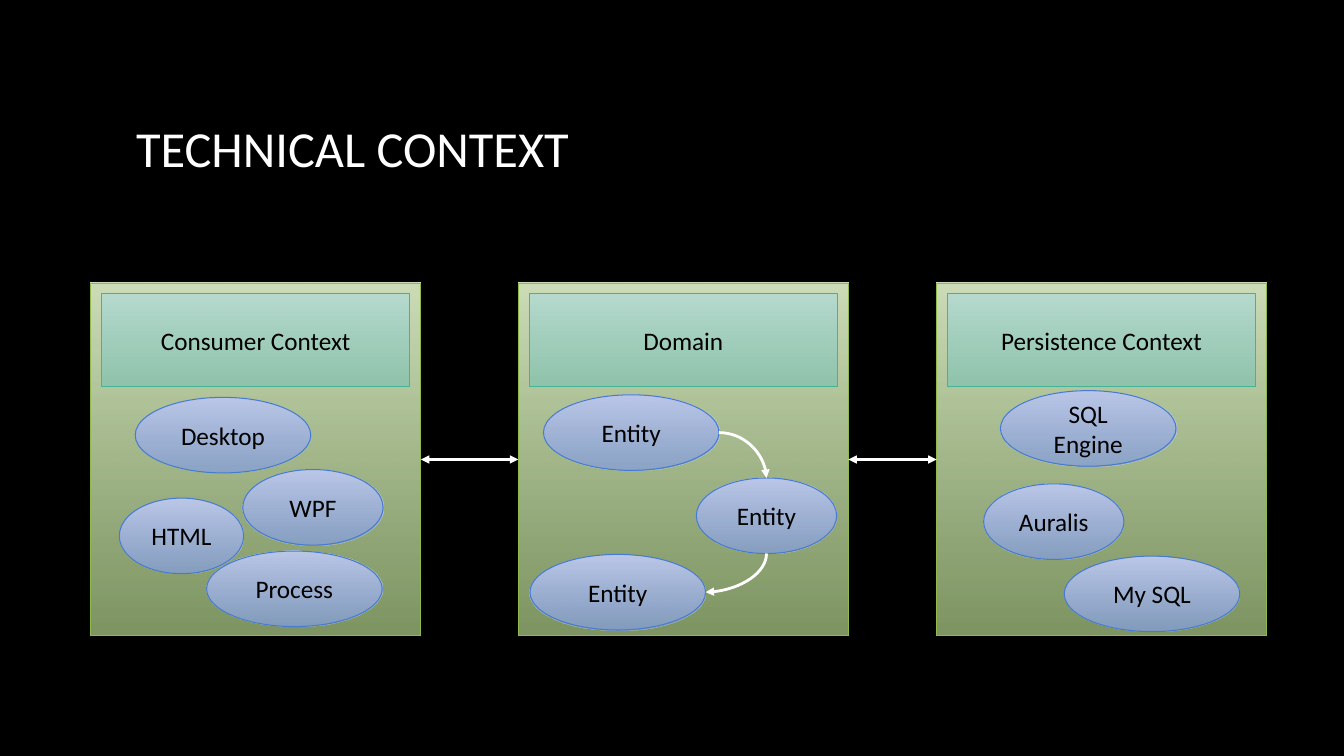
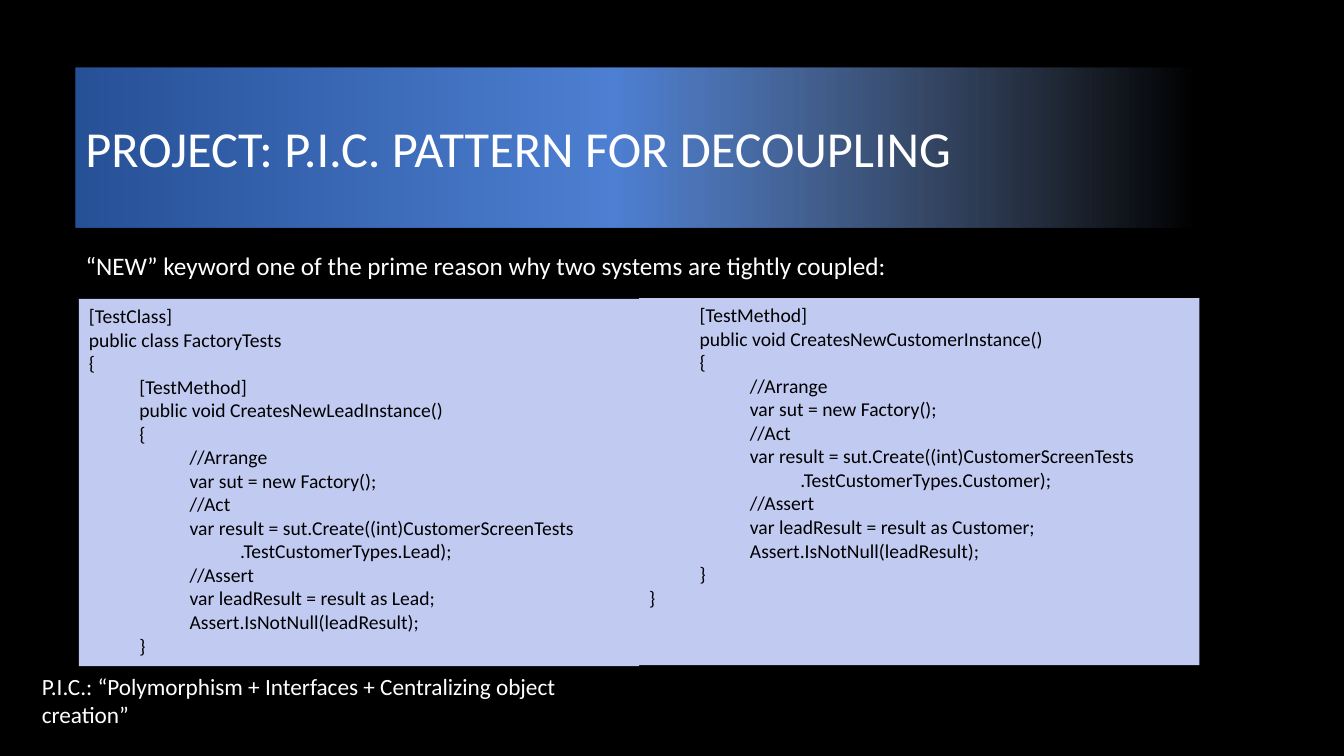
from lxml.etree import SubElement
from pptx import Presentation
from pptx.dml.color import RGBColor
from pptx.enum.shapes import MSO_CONNECTOR as Link, MSO_SHAPE as Shape
from pptx.enum.text import MSO_ANCHOR as Anchor, PP_ALIGN as Align
from pptx.oxml.ns import qn
from pptx.util import Emu, Pt

# The slide is a grid of 160 columns by 90 rows; all lengths are in cells.
COLUMNS, ROWS, CELL = 160, 90, 76200

FONT = "Calibri"
BLACK = RGBColor(0x00, 0x00, 0x00)
WHITE = RGBColor(0xFF, 0xFF, 0xFF)
CODE_FILL = RGBColor(0xC1, 0xCA, 0xF1)
PANEL_LINE = RGBColor(0x90, 0xBA, 0x4C)
HEADER_LINE = RGBColor(0x46, 0xB2, 0x98)
BUBBLE_LINE = RGBColor(0x47, 0x7B, 0xD1)

# Gradient stops: position %, colour, opacity %
PANEL_STOPS = [(0, RGBColor(0xCD, 0xDE, 0xB9), 100), (100, RGBColor(0xAB, 0xC9, 0x87), 74)]
HEADER_STOPS = [(0, RGBColor(0xB7, 0xDA, 0xCF), 100), (100, RGBColor(0x85, 0xC3, 0xB1), 74)]
BUBBLE_STOPS = [(0, RGBColor(0xBC, 0xC8, 0xE9), 100), (100, RGBColor(0x85, 0x9E, 0xDA), 74)]
BAND_STOPS = [(0, RGBColor(0x26, 0x50, 0x96), 100), (48, RGBColor(0x4D, 0x7F, 0xD2), 100),
              (100, RGBColor(0x91, 0xB0, 0xE3), 0)]
DOWN, RIGHTWARD = 270, 0

TITLE_BOX = (9, 8, 133, 19.1)
PANEL_TOP, PANEL_WIDTH, PANEL_HEIGHT = 33.7, 39.3, 42
HEADER_INSET, HEADER_HEIGHT = 1.3, 11
BUBBLE_HEIGHT = 9
WIDE, MEDIUM, NARROW = 20.9, 16.7, 14.8
LINK_ROW = 54.7

# Panel column, header, and bubbles placed from the panel's corner: text, x, y, width
PANELS = [
    (10.8, "Consumer Context", [("Desktop", 5.3, 13.6, WIDE), ("HTML", 3.4, 25.6, NARROW),
                                ("WPF", 18.1, 22.2, MEDIUM), ("Process", 13.8, 31.9, WIDE)]),
    (61.7, "Domain", [("Entity", 3, 13.3, WIDE), ("Entity", 21.2, 23.2, MEDIUM),
                      ("Entity", 1.4, 32.3, WIDE)]),
    (111.5, "Persistence Context", [("SQL Engine", 7.6, 12.8, WIDE), ("Auralis", 5.6, 23.9, MEDIUM),
                                    ("My SQL", 15.2, 32.5, WIDE)]),
]

LEAD_TEST = """[TestClass]
public class FactoryTests
{
	[TestMethod]
	public void CreatesNewLeadInstance()
	{
		//Arrange
		var sut = new Factory();
		//Act
		var result = sut.Create((int)CustomerScreenTests
			.TestCustomerTypes.Lead);
		//Assert
		var leadResult = result as Lead;
		Assert.IsNotNull(leadResult);
	}"""

CUSTOMER_TEST = """	[TestMethod]
	public void CreatesNewCustomerInstance()
	{
		//Arrange
		var sut = new Factory();
		//Act
		var result = sut.Create((int)CustomerScreenTests
			.TestCustomerTypes.Customer);
		//Assert
		var leadResult = result as Customer;
		Assert.IsNotNull(leadResult);
	}
}"""


def cells(*lengths):
    return [Emu(round(length * CELL)) for length in lengths]


def fill_gradient(shape, stops, angle):
    shape.fill.gradient()
    shape.fill.gradient_angle = angle
    stop_list = shape.element.spPr.find(qn("a:gradFill")).find(qn("a:gsLst"))
    for old_stop in list(stop_list):
        stop_list.remove(old_stop)
    for position, color, opacity in stops:
        stop = SubElement(stop_list, qn("a:gs"), pos=str(position * 1000))
        tint = SubElement(stop, qn("a:srgbClr"), val=str(color))
        SubElement(tint, qn("a:alpha"), val=str(opacity * 1000))


def write(shape, text, size, color, align=Align.LEFT, anchor=Anchor.TOP):
    frame = shape.text_frame
    frame.word_wrap = True
    frame.vertical_anchor = anchor
    frame.text = text
    for paragraph in frame.paragraphs:
        paragraph.alignment = align
        paragraph.font.name = FONT
        paragraph.font.size = Pt(size)
        paragraph.font.color.rgb = color


def add_block(slide, kind, box, stops, line_color, text=""):
    """Add an outlined shape with a downward gradient and centred text."""
    block = slide.shapes.add_shape(kind, *cells(*box))
    block.shadow.inherit = False
    fill_gradient(block, stops, DOWN)
    block.line.color.rgb = line_color
    block.line.width = Pt(0.75)
    if text:
        write(block, text, 18, BLACK, Align.CENTER, Anchor.MIDDLE)
    return block


def add_text(slide, box, text, size, anchor=Anchor.TOP):
    label = slide.shapes.add_textbox(*cells(*box))
    write(label, text, size, WHITE, anchor=anchor)
    return label


def add_title(slide, text):
    return add_text(slide, TITLE_BOX, text, 36, Anchor.MIDDLE)


def add_code(slide, box, code):
    listing = slide.shapes.add_shape(Shape.RECTANGLE, *cells(*box))
    listing.shadow.inherit = False
    listing.fill.solid()
    listing.fill.fore_color.rgb = CODE_FILL
    listing.line.fill.background()
    write(listing, code, 14, BLACK)


def add_arrow(slide, kind, start, end, *heads):
    """Join two points; heads are 'headEnd' (start) and 'tailEnd' (end)."""
    arrow = slide.shapes.add_connector(kind, *start, *end)
    arrow.line.color.rgb = WHITE
    arrow.line.width = Pt(2)
    for head in heads:
        SubElement(arrow.line._get_or_add_ln(), qn(f"a:{head}"), type="triangle")
    properties = arrow.element.spPr
    SubElement(properties, qn("a:effectLst"))
    if kind == Link.CURVE:
        properties.find(qn("a:prstGeom")).set("prst", "curvedConnector2")


def add_panel(slide, left, header, bubbles):
    add_block(slide, Shape.RECTANGLE, (left, PANEL_TOP, PANEL_WIDTH, PANEL_HEIGHT),
              PANEL_STOPS, PANEL_LINE)
    add_block(slide, Shape.RECTANGLE,
              (left + HEADER_INSET, PANEL_TOP + HEADER_INSET,
               PANEL_WIDTH - 2 * HEADER_INSET, HEADER_HEIGHT),
              HEADER_STOPS, HEADER_LINE, header)
    return [add_block(slide, Shape.OVAL, (left + x, PANEL_TOP + y, width, BUBBLE_HEIGHT),
                      BUBBLE_STOPS, BUBBLE_LINE, text)
            for text, x, y, width in bubbles]


def right_of(shape):
    return shape.left + shape.width, shape.top + shape.height // 2


def link_entities(slide, first, second, third):
    center = second.left + second.width // 2
    add_arrow(slide, Link.CURVE, right_of(first), (center, second.top), "tailEnd")
    add_arrow(slide, Link.CURVE, right_of(third), (center, second.top + second.height), "headEnd")


def add_slide(deck):
    slide = deck.slides.add_slide(deck.slide_layouts[6])
    slide.background.fill.solid()
    slide.background.fill.fore_color.rgb = BLACK
    return slide


def build_context(slide):
    title = add_title(slide, "TECHNICAL CONTEXT")
    title.text_frame.margin_left = cells(7.2)[0]
    _, entities, _ = [add_panel(slide, *panel) for panel in PANELS]
    for (left, *_), (next_left, *_) in zip(PANELS, PANELS[1:]):
        add_arrow(slide, Link.STRAIGHT, cells(left + PANEL_WIDTH, LINK_ROW),
                  cells(next_left, LINK_ROW), "headEnd", "tailEnd")
    link_entities(slide, *entities)


def build_pattern(slide):
    title = add_title(slide, "PROJECT: P.I.C. PATTERN FOR DECOUPLING")
    fill_gradient(title, BAND_STOPS, RIGHTWARD)
    add_code(slide, (9.4, 35.6, 66.7, 43.7), LEAD_TEST)
    add_code(slide, (76.1, 35.5, 66.7, 43.7), CUSTOMER_TEST)
    add_text(slide, (3.8, 79.7, 66.5, 7.4),
             "P.I.C.: “Polymorphism + Interfaces + Centralizing object creation”",
             16.6, Anchor.MIDDLE)
    add_text(slide, (9, 29.2, 99.7, 4.8),
             "“NEW” keyword one of the prime reason why two systems are tightly coupled:", 18)


def main():
    deck = Presentation()
    deck.slide_width, deck.slide_height = cells(COLUMNS, ROWS)
    build_context(add_slide(deck))
    build_pattern(add_slide(deck))
    deck.save("out.pptx")


if __name__ == "__main__":
    main()
